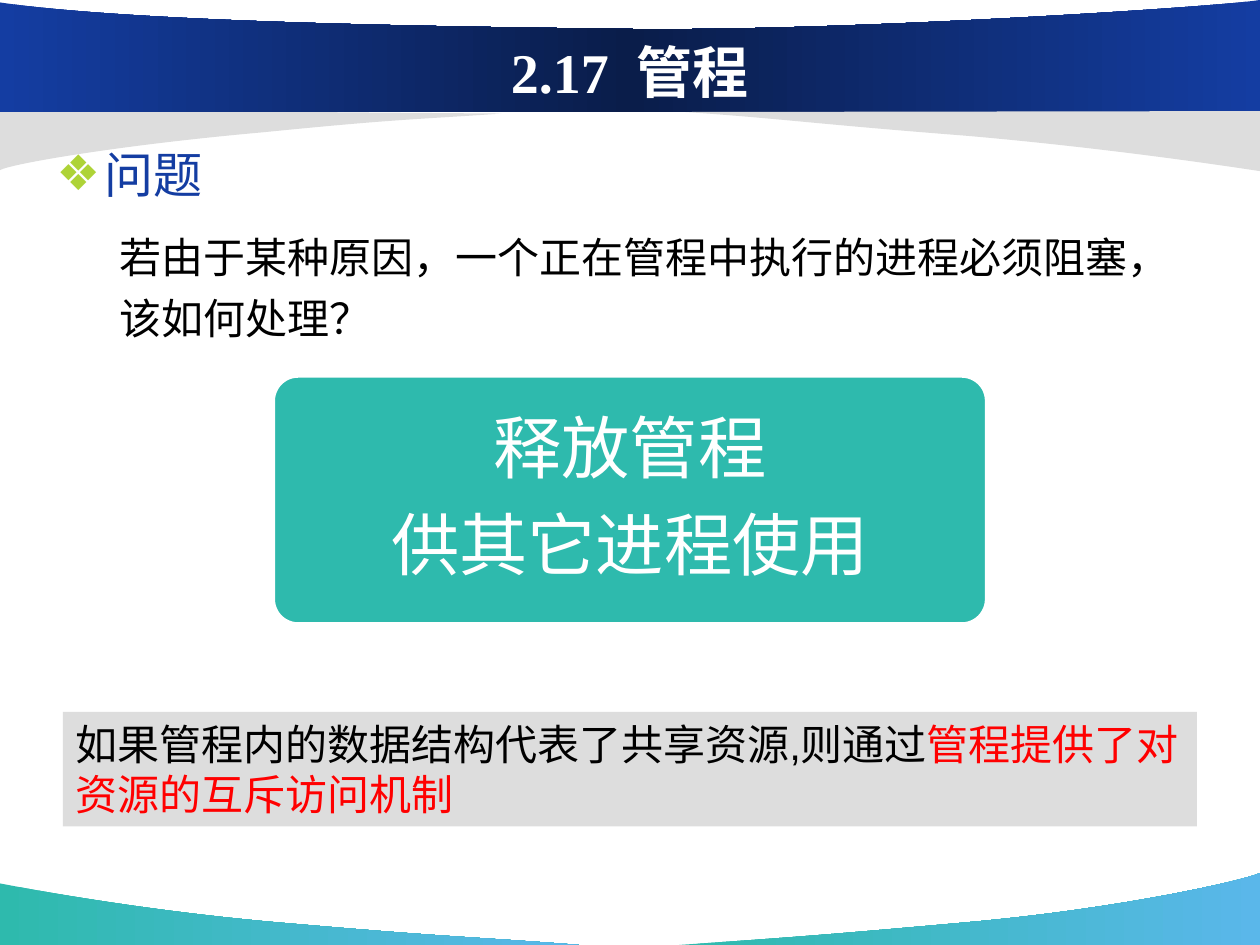
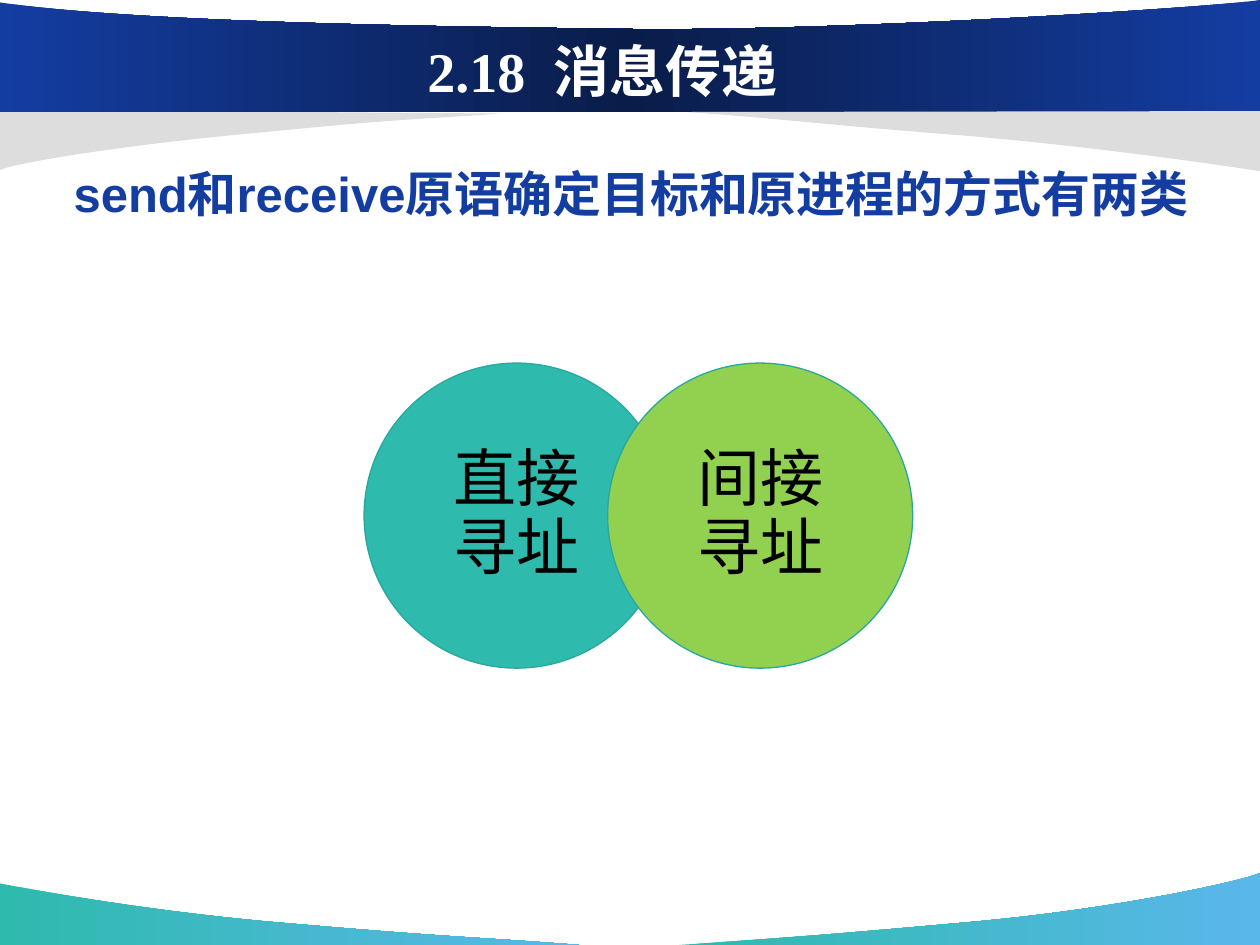
from copy import deepcopy
from dataclasses import dataclass

from lxml.etree import SubElement
from pptx import Presentation
from pptx.dml.color import RGBColor
from pptx.enum.shapes import MSO_SHAPE
from pptx.enum.text import MSO_ANCHOR, MSO_AUTO_SIZE, PP_ALIGN
from pptx.oxml.ns import qn
from pptx.util import Cm, Pt


@dataclass(frozen=True)
class Theme:
    heading_font: str = "Times New Roman"
    body_font: str = "Arial"
    blue: str = "143DA2"
    navy: str = "0A1D4A"
    teal: str = "2EBAAD"
    teal_edge: str = "29A89C"
    sky: str = "5AB7EA"
    green: str = "92D050"
    lime: str = "AED337"
    gray: str = "DDDDDD"
    red: str = "FF0000"
    black: str = "000000"
    white: str = "FFFFFF"
    title_size: int = 32
    topic_size: int = 28
    text_size: int = 24
    answer_size: int = 39
    circle_size: int = 36


THEME = Theme()

# Content
MONITOR_TITLE = "2.17  管程"
PROBLEM_HEADING = "问题"
PROBLEM_TEXT = "若由于某种原因，一个正在管程中执行的进程必须阻塞，该如何处理？"
ANSWER_LINES = ["释放管程", "供其它进程使用"]
NOTE_RUNS = [
    ("如果管程内的数据结构代表了共享资源,则通过", THEME.black),
    ("管程提供了对资源的互斥访问机制", THEME.red),
]
MESSAGE_TITLE = "2.18  消息传递"
MESSAGE_TOPIC = "send和receive原语确定目标和原进程的方式有两类"
ADDRESSING_MODES = [("直接寻址", THEME.teal), ("间接寻址", THEME.green)]

# Background bands in cm: fill colours, start point, then lines (1 point) or curves (3 points)
FOOTER_COLORS = [THEME.teal, THEME.sky]
BANDS = [
    (FOOTER_COLORS, (11.68, 19.05), [
        [(9.75, 18.9), (9.09, 18.9), (5.89, 18.62)],
        [(2.69, 18.36), (0.03, 17.81), (0, 17.81)],
        [(0, 19.05)]]),
    (FOOTER_COLORS, (13.69, 19.05), [
        [(15.6, 18.92), (16.41, 18.87), (19.53, 18.59)],
        [(22.66, 18.31), (25.15, 17.73), (25.4, 17.6)],
        [(25.4, 19.05)]]),
    ([THEME.gray], (10.11, 2.29), [
        [(8.41, 2.41), (8.08, 2.39), (5.28, 2.67)],
        [(2.46, 2.92), (0.23, 3.3), (0, 3.43)],
        [(0, 2.21)]]),
    ([THEME.blue, THEME.navy, THEME.blue], (0, 2.26), [
        [(25.4, 2.26)],
        [(25.4, 0)],
        [(24.49, 0.15), (16.59, 0.66), (12.37, 0.58)],
        [(8.15, 0.53), (2.57, 0.43), (0, 0.05)]]),
    ([THEME.gray], (13.82, 2.26), [
        [(15.75, 2.39), (16.31, 2.49), (19.51, 2.74)],
        [(22.71, 3.02), (25.37, 3.45), (25.4, 3.45)],
        [(25.4, 2.24)]]),
]


def color(value):
    return RGBColor.from_string(value)


def apply(target, formats):
    for name, value in formats.items():
        setattr(target, name, value)


def place(shape, left, top, width, height):
    apply(shape, {"left": Cm(left), "top": Cm(top),
                  "width": Cm(width), "height": Cm(height)})


def add_run(paragraph, text, size, text_color, font=THEME.body_font, bold=False):
    run = paragraph.add_run()
    run.text = text
    apply(run.font, {"name": font, "size": Pt(size), "bold": bold})
    run.font.color.rgb = color(text_color)


def set_bullet(paragraph, left, indent, character=None, bullet_color=None):
    properties = paragraph._p.get_or_add_pPr()
    properties.set("marL", str(Cm(left)))
    properties.set("indent", str(Cm(indent)))
    if character is None:
        SubElement(properties, qn("a:buNone"))
        return
    bullet_fill = SubElement(properties, qn("a:buClr"))
    SubElement(bullet_fill, qn("a:srgbClr")).set("val", bullet_color)
    SubElement(properties, qn("a:buChar")).set("char", character)


# Shared background
def bend_segments(shape, segments):
    """Turn each three-point run of line segments into one cubic curve."""
    lines = iter(list(shape.element.iter(qn("a:lnTo"))))
    for segment in segments:
        first, *others = [next(lines) for _ in segment]
        if others:
            first.tag = qn("a:cubicBezTo")
            for line in others:
                first.append(line[0])
                line.getparent().remove(line)


def fill_band(shape, colors):
    if len(colors) == 1:
        shape.fill.solid()
        shape.fill.fore_color.rgb = color(colors[0])
        return
    shape.fill.gradient()
    shape.fill.gradient_angle = 0
    stop_list = next(shape.element.iter(qn("a:gsLst")))
    while len(stop_list) < len(colors):
        stop_list.append(deepcopy(stop_list[-1]))
    for index, (stop, value) in enumerate(zip(shape.fill.gradient_stops, colors)):
        stop.position = index / (len(colors) - 1)
        stop.color.rgb = color(value)


def add_bands(slide):
    """Draw the bands and move them to the master, so that every slide shows them."""
    master = slide.slide_layout.slide_master
    for colors, start, segments in BANDS:
        points = [point for segment in segments for point in segment]
        builder = slide.shapes.build_freeform(*map(Cm, start))
        builder.add_line_segments([(Cm(x), Cm(y)) for x, y in points], close=True)
        band = builder.convert_to_shape()
        bend_segments(band, segments)
        band.shadow.inherit = False
        band.line.fill.background()
        fill_band(band, colors)
        master.shapes.element.append(band.element)


# Slide parts
def add_slide(presentation, title, title_box, body_box):
    slide = presentation.slides.add_slide(presentation.slide_layouts[1])
    body = slide.placeholders[1]
    for shape, box in ((slide.shapes.title, title_box), (body, body_box)):
        place(shape, *box)
        apply(shape.text_frame, {"auto_size": MSO_AUTO_SIZE.NONE, "word_wrap": True})
    slide.shapes.title.text_frame.vertical_anchor = MSO_ANCHOR.MIDDLE
    paragraph = slide.shapes.title.text_frame.paragraphs[0]
    paragraph.alignment = PP_ALIGN.CENTER
    add_run(paragraph, title, THEME.title_size, THEME.white, THEME.heading_font, True)
    return slide, body.text_frame


def add_box(slide, kind, box, fill, edge=None, edge_width=0):
    shape = slide.shapes.add_shape(kind, *(Cm(length) for length in box))
    shape.shadow.inherit = False
    shape.fill.solid()
    shape.fill.fore_color.rgb = color(fill)
    if edge:
        shape.line.color.rgb = color(edge)
        shape.line.width = Pt(edge_width)
    else:
        shape.line.fill.background()
    shape.text_frame.word_wrap = True
    return shape


def write_centered(shape, lines, size, text_color, side_margin, end_margin):
    frame = shape.text_frame
    apply(frame, {"vertical_anchor": MSO_ANCHOR.MIDDLE,
                  "margin_left": Cm(side_margin), "margin_right": Cm(side_margin),
                  "margin_top": Cm(end_margin), "margin_bottom": Cm(end_margin)})
    for index, line in enumerate(lines):
        paragraph = frame.add_paragraph() if index else frame.paragraphs[0]
        apply(paragraph, {"alignment": PP_ALIGN.CENTER, "line_spacing": 0.9,
                          "space_after": Pt(0.35 * size)})
        add_run(paragraph, line, size, text_color)


def build_monitor_slide(presentation):
    slide, body = add_slide(presentation, MONITOR_TITLE,
                            (1.27, 0.13, 22.86, 2.59), (0.88, 2.55, 23.19, 11.96))
    add_bands(slide)

    # Problem statement
    heading = body.paragraphs[0]
    set_bullet(heading, 0.97, -0.97, "❖", THEME.lime)
    apply(heading, {"line_spacing": 1.2, "space_before": Pt(0),
                    "space_after": Pt(0.2 * THEME.topic_size)})
    add_run(heading, PROBLEM_HEADING, THEME.topic_size, THEME.blue)
    question = body.add_paragraph()
    set_bullet(question, 1.27, 0)
    spacing = Pt(0.2 * THEME.text_size)
    apply(question, {"level": 1, "line_spacing": 1.2,
                     "space_before": spacing, "space_after": spacing})
    add_run(question, PROBLEM_TEXT, THEME.text_size, THEME.black)

    # Answer
    answer = add_box(slide, MSO_SHAPE.ROUNDED_RECTANGLE, (5.51, 7.58, 14.38, 5),
                     THEME.teal, THEME.white, 2)
    answer.adjustments[0] = 0.1
    write_centered(answer, ANSWER_LINES, THEME.answer_size, THEME.white, 0.41, 0.41)

    # Note
    note = add_box(slide, MSO_SHAPE.RECTANGLE, (1.27, 14.35, 22.86, 2.31), THEME.gray)
    note.text_frame.vertical_anchor = MSO_ANCHOR.TOP
    paragraph = note.text_frame.paragraphs[0]
    paragraph.alignment = PP_ALIGN.LEFT
    for text, text_color in NOTE_RUNS:
        add_run(paragraph, text, THEME.text_size, text_color)


def build_message_slide(presentation):
    slide, body = add_slide(presentation, MESSAGE_TITLE,
                            (2.2, 0.62, 19.89, 1.57), (1.23, 2.93, 23.27, 3.15))
    topic = body.paragraphs[0]
    set_bullet(topic, 0, 0)
    apply(topic, {"line_spacing": 1.2, "space_before": Pt(0)})
    add_run(topic, MESSAGE_TOPIC, THEME.topic_size, THEME.blue, bold=True)

    # Overlapping circles
    left, top, diameter, step = 7.34, 7.32, 6.15, 4.91
    for index, (mode, fill) in enumerate(ADDRESSING_MODES):
        circle = add_box(slide, MSO_SHAPE.OVAL, (left + index * step, top, diameter, diameter),
                         fill, THEME.teal_edge, 0.75)
        write_centered(circle, [mode], THEME.circle_size, THEME.black, 0.33, 0.13)


def main():
    presentation = Presentation()
    apply(presentation, {"slide_width": Cm(25.4), "slide_height": Cm(19.05)})
    build_monitor_slide(presentation)
    build_message_slide(presentation)
    presentation.save("out.pptx")


if __name__ == "__main__":
    main()
